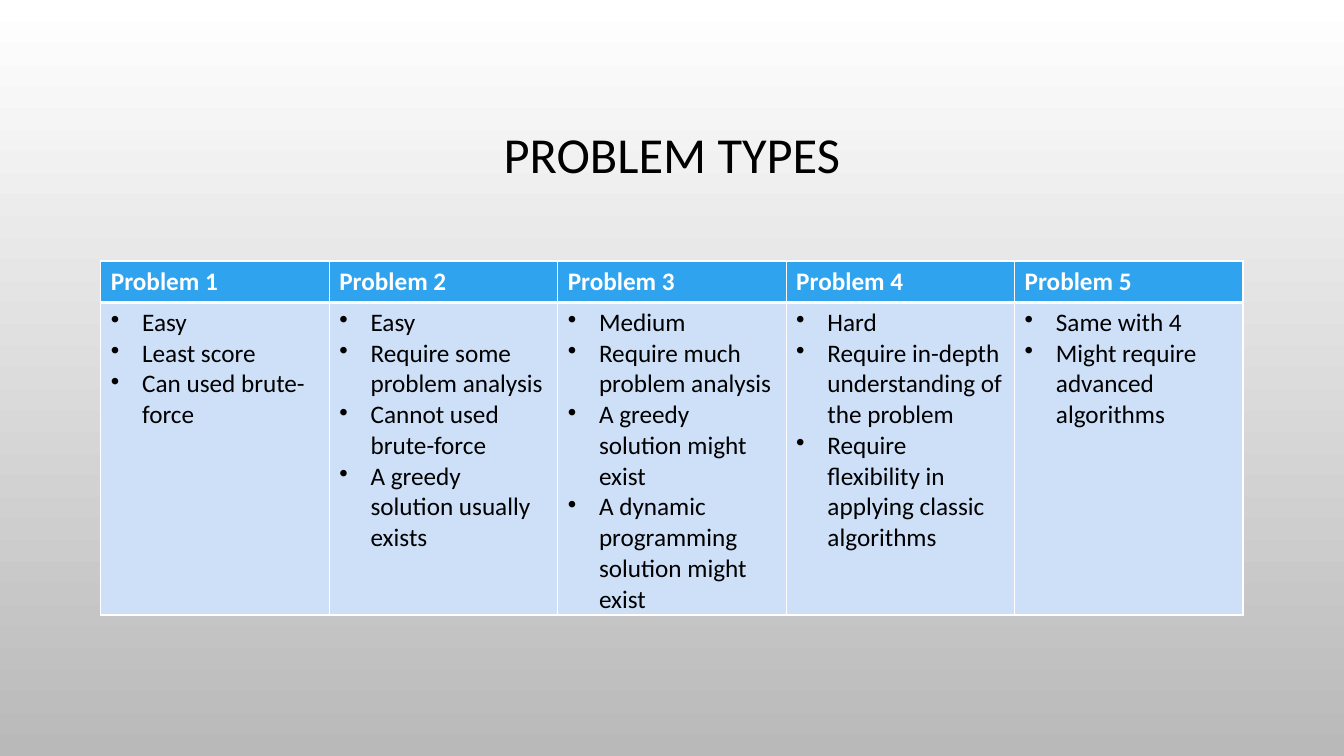
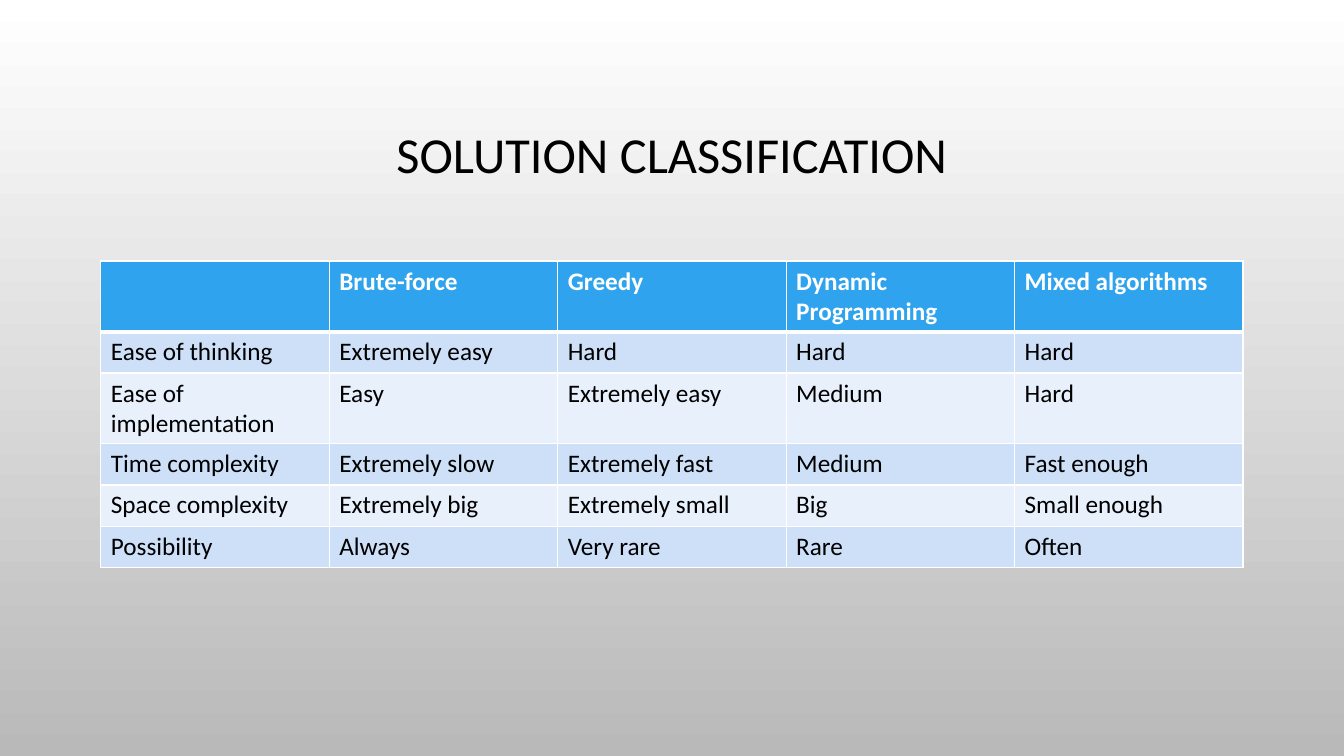
from dataclasses import dataclass

from lxml import etree
from pptx import Presentation
from pptx.dml.color import RGBColor
from pptx.enum import text
from pptx.oxml import ns
from pptx.util import Inches, Pt


# Shared look
@dataclass(frozen=True)
class Theme:
    font: str = "Calibri"
    title_size: int = 36
    table_size: int = 18
    ink: str = "000000"
    white: str = "FFFFFF"
    backdrop: tuple = ("FFFFFF", "B9B9B9")
    header: str = "2FA3EE"
    bands: tuple = ("CDE0F8", "E8F0FC")
    thin: float = 1
    thick: float = 3


theme = Theme()

# Content: a title, then table rows; a list in a cell becomes bullets
slides = [
    ("PROBLEM TYPES", [
        [f"Problem {number}" for number in range(1, 6)],
        [
            ["Easy", "Least score", "Can used brute-force"],
            ["Easy", "Require some problem analysis", "Cannot used brute-force",
             "A greedy solution usually exists"],
            ["Medium", "Require much problem analysis", "A greedy solution might exist",
             "A dynamic programming solution might exist"],
            ["Hard", "Require in-depth understanding of the problem",
             "Require flexibility in applying classic algorithms"],
            ["Same with 4", "Might require advanced algorithms"],
        ],
    ]),
    ("SOLUTION CLASSIFICATION", [
        ["", "Brute-force", "Greedy", "Dynamic Programming", "Mixed algorithms"],
        ["Ease of thinking", "Extremely easy", "Hard", "Hard", "Hard"],
        ["Ease of implementation", "Easy", "Extremely easy", "Medium", "Hard"],
        ["Time complexity", "Extremely slow", "Extremely fast", "Medium", "Fast enough"],
        ["Space complexity", "Extremely big", "Extremely small", "Big", "Small enough"],
        ["Possibility", "Always", "Very rare", "Rare", "Often"],
    ]),
]


def style_font(para, size, color, bold=False):
    para.font.name = theme.font
    para.font.size = Pt(size)
    para.font.bold = bold
    para.font.color.rgb = RGBColor.from_string(color)


def add_borders(cell, bottom):
    properties = cell._tc.get_or_add_tcPr()
    for side, width in zip("LRTB", (theme.thin, theme.thin, theme.thin, bottom)):
        line = etree.SubElement(properties, ns.qn(f"a:ln{side}"), w=str(Pt(width)))
        fill = etree.SubElement(line, ns.qn("a:solidFill"))
        etree.SubElement(fill, ns.qn("a:srgbClr"), val=theme.white)


deck = Presentation()
deck.slide_width, deck.slide_height = Inches(13.33), Inches(7.5)
left, width, row_height = Inches(1), Inches(11.33), Inches(0.41)

for title, rows in slides:
    page = deck.slides.add_slide(deck.slide_layouts[6])

    # Background gradient, top to bottom
    backdrop = page.background.fill
    backdrop.gradient()
    backdrop.gradient_angle = 270
    for stop, color in zip(backdrop.gradient_stops, theme.backdrop):
        stop.color.rgb = RGBColor.from_string(color)

    # Title
    box = page.shapes.add_textbox(left, Inches(0.68), width, Inches(1.75))
    frame = box.text_frame
    frame.word_wrap = True
    frame.vertical_anchor = text.MSO_ANCHOR.MIDDLE
    para = frame.paragraphs[0]
    para.text = title
    para.alignment = text.PP_ALIGN.CENTER
    para.line_spacing = 0.9
    style_font(para, theme.title_size, theme.ink)

    # Table: a header row, then alternating bands
    table = page.shapes.add_table(len(rows), len(rows[0]), left, Inches(2.59),
                                  width, row_height * len(rows)).table
    for row_index, row in enumerate(rows):
        is_header = row_index == 0
        band = theme.header if is_header else theme.bands[(row_index - 1) % 2]
        for column_index, content in enumerate(row):
            cell = table.cell(row_index, column_index)
            add_borders(cell, theme.thick if is_header else theme.thin)
            cell.fill.solid()
            cell.fill.fore_color.rgb = RGBColor.from_string(band)

            bulleted = isinstance(content, list)
            cell.text = "\n".join(content) if bulleted else content
            for para in cell.text_frame.paragraphs:
                style_font(para, theme.table_size,
                           theme.white if is_header else theme.ink, is_header)
                if bulleted:
                    properties = para._p.get_or_add_pPr()
                    properties.set("marL", str(Inches(0.31)))
                    properties.set("indent", str(-Inches(0.31)))
                    bullet = etree.Element(ns.qn("a:buChar"), char="•")
                    properties.insert(0, bullet)

deck.save("out.pptx")
